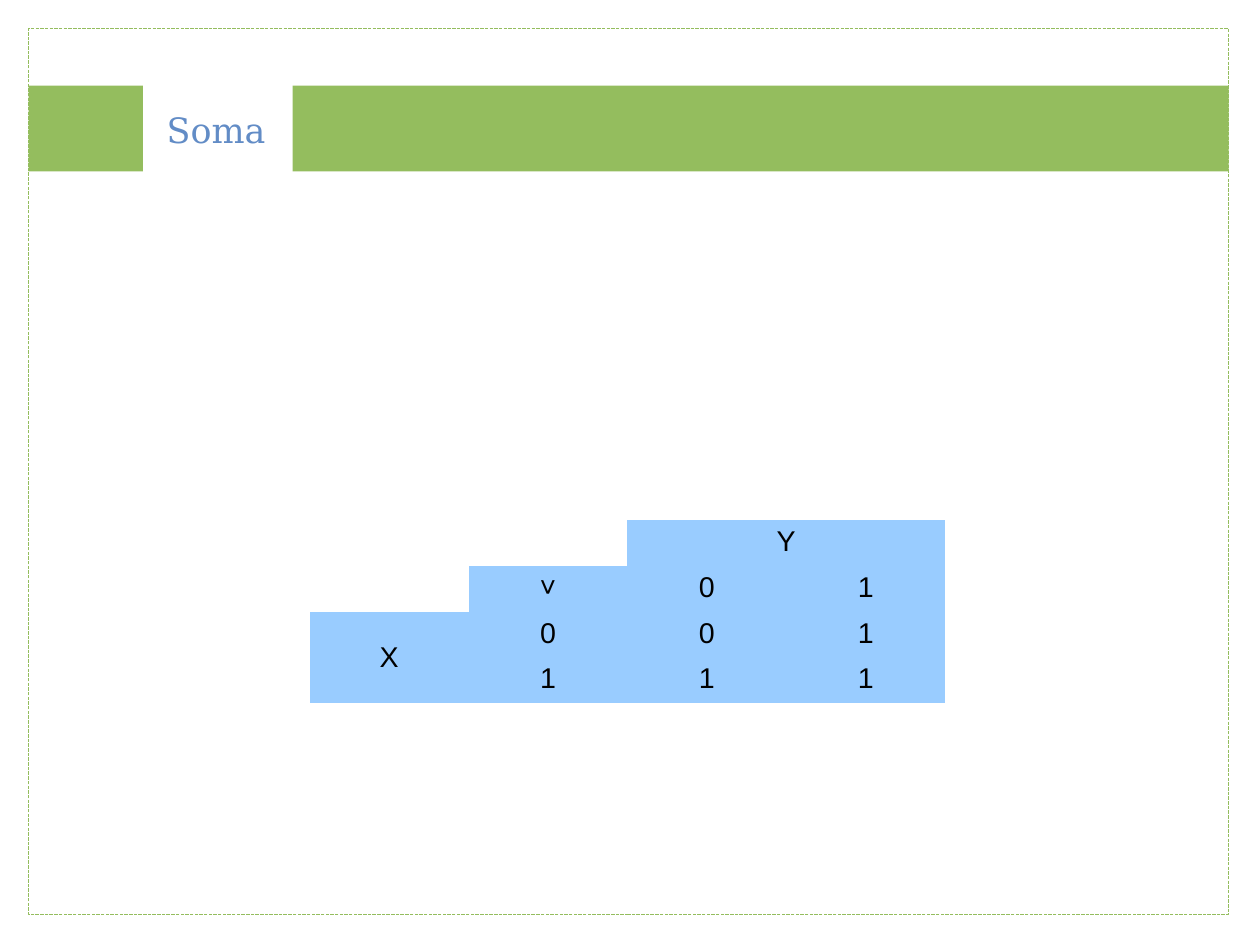
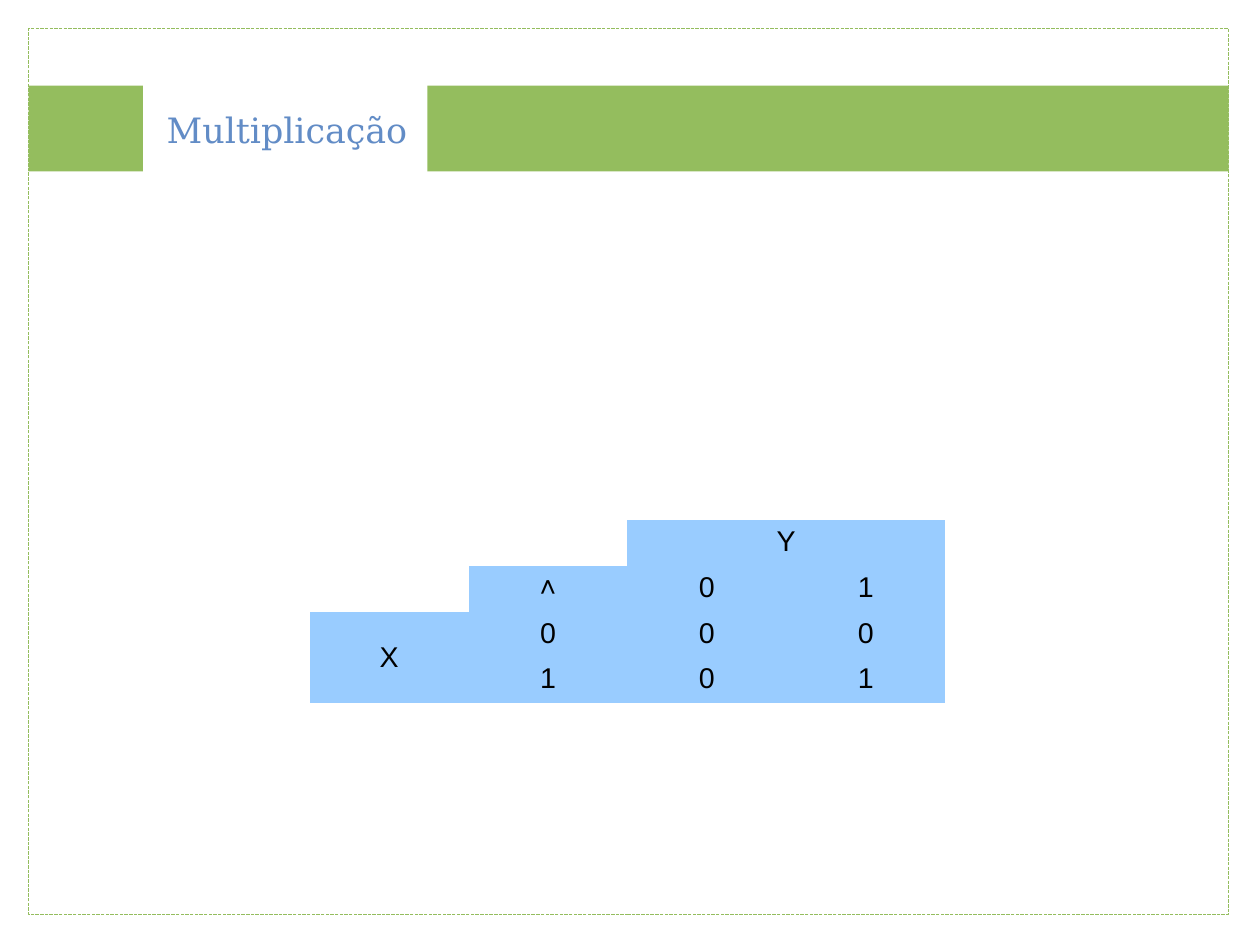
from pptx import Presentation
from pptx.dml.color import RGBColor
from pptx.enum.dml import MSO_LINE
from pptx.enum.shapes import MSO_SHAPE
from pptx.enum.text import MSO_ANCHOR, MSO_AUTO_SIZE, PP_ALIGN
from pptx.util import Cm, Inches, Pt

RECTANGLE = MSO_SHAPE.RECTANGLE
DASH = MSO_LINE.SQUARE_DOT
CENTER = PP_ALIGN.CENTER
LEFT = PP_ALIGN.LEFT
MIDDLE = MSO_ANCHOR.MIDDLE
TOP = MSO_ANCHOR.TOP
GROW = MSO_AUTO_SIZE.SHAPE_TO_FIT_TEXT

GREEN = "94BD5E"
TITLE_BLUE = "628CC6"
CELL_BLUE = "99CCFF"
WHITE = "FFFFFF"
BLACK = "000000"
TITLE_FONT = "DejaVu Serif"
TABLE_FONT = "Arial"
NO_GRID_STYLE = "{2D5ABB26-0587-4C30-8999-92F81FD0307C}"

# The page is a metric format, 28 by 21 cm.
SLIDE_WIDTH, SLIDE_HEIGHT = Cm(28), Cm(21)
FRAME_LEFT = FRAME_TOP = 0.25
FRAME_WIDTH, FRAME_HEIGHT = 10.5, 7.75
FRAME_RIGHT = FRAME_LEFT + FRAME_WIDTH
BAND_TOP, BAND_HEIGHT = 0.75, 0.75
TABLE_LEFT, TABLE_TOP = 2.71, 4.55
COLUMN_WIDTH, ROW_HEIGHT = 1.39, 0.4


def rgb(color):
    return RGBColor.from_string(color)


def write_text(frame, text, *, size, font, color, align=LEFT):
    paragraph = frame.paragraphs[0]
    paragraph.alignment = align
    run = paragraph.add_run()
    run.text = text
    run.font.size = Pt(size)
    run.font.name = font
    run.font.color.rgb = rgb(color)


def add_rectangle(slide, left, top, width, height):
    rectangle = slide.shapes.add_shape(
        RECTANGLE, Inches(left), Inches(top), Inches(width), Inches(height))
    rectangle.shadow.inherit = False
    return rectangle


def add_band(slide, left, right):
    band = add_rectangle(slide, left, BAND_TOP, right - left, BAND_HEIGHT)
    band.fill.solid()
    band.fill.fore_color.rgb = rgb(GREEN)
    band.line.fill.background()


def add_frame(slide):
    frame = add_rectangle(slide, FRAME_LEFT, FRAME_TOP, FRAME_WIDTH, FRAME_HEIGHT)
    frame.fill.background()
    frame.line.color.rgb = rgb(GREEN)
    frame.line.width = Pt(0)
    frame.line.dash_style = DASH


def add_title(slide, title, width):
    box = slide.shapes.add_textbox(
        Inches(1.36), Inches(0.9), Inches(width), Inches(0.45))
    box.text_frame.word_wrap = False
    box.text_frame.auto_size = GROW
    write_text(box.text_frame, title, size=22, font=TITLE_FONT, color=TITLE_BLUE)


def add_truth_table(slide, operator, results):
    """Draw a two-input table; results holds one row per value of X."""
    rows = [["", "", "Y", ""],
            ["", operator, "0", "1"],
            ["X", "0", *results[0]],
            ["", "1", *results[1]]]
    table = slide.shapes.add_table(
        len(rows), len(rows[0]), Inches(TABLE_LEFT), Inches(TABLE_TOP),
        Inches(COLUMN_WIDTH * len(rows[0])), Inches(ROW_HEIGHT * len(rows))).table
    table.first_row = table.horz_banding = False
    table._tbl.tblPr[0].text = NO_GRID_STYLE
    for column in table.columns:
        column.width = Inches(COLUMN_WIDTH)
    for row in table.rows:
        row.height = Inches(ROW_HEIGHT)
    table.cell(0, 2).merge(table.cell(0, 3))
    table.cell(2, 0).merge(table.cell(3, 0))

    for r, row in enumerate(rows):
        for c, value in enumerate(row):
            cell = table.cell(r, c)
            cell.fill.solid()
            # The blank upper-left corner steps down towards X.
            cell.fill.fore_color.rgb = rgb(WHITE if r + c < 2 else CELL_BLUE)
            cell.vertical_anchor = MIDDLE if value == "X" else TOP
            if value:
                write_text(cell.text_frame, value, size=18, font=TABLE_FONT,
                           color=BLACK, align=CENTER)


def add_operation_slide(deck, title, title_width, band_left, operator, results):
    slide = deck.slides.add_slide(deck.slide_layouts[6])
    add_band(slide, band_left, FRAME_RIGHT)
    add_frame(slide)
    add_title(slide, title, title_width)
    add_band(slide, FRAME_LEFT, 1.25)
    add_truth_table(slide, operator, results)


def main():
    deck = Presentation()
    deck.slide_width = SLIDE_WIDTH
    deck.slide_height = SLIDE_HEIGHT
    add_operation_slide(deck, "Soma", 1.08, 2.56, "˅", ["01", "11"])
    add_operation_slide(deck, "Multiplicação", 2.31, 3.74, "˄", ["00", "01"])
    deck.save("out.pptx")


if __name__ == "__main__":
    main()
